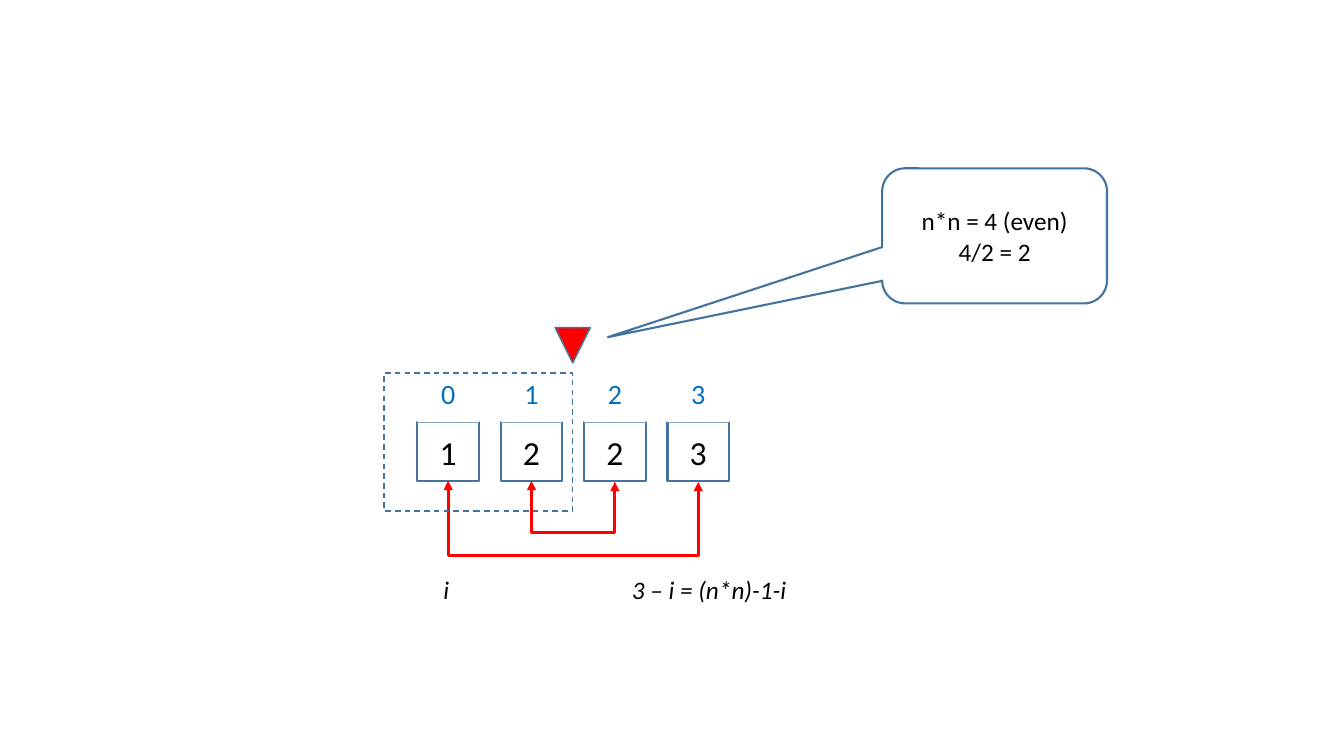
from dataclasses import dataclass

from lxml.etree import SubElement
from pptx import Presentation
from pptx.dml.color import RGBColor
from pptx.enum.dml import MSO_LINE
from pptx.enum.shapes import MSO_CONNECTOR, MSO_SHAPE
from pptx.enum.text import MSO_ANCHOR, PP_ALIGN
from pptx.oxml.ns import qn
from pptx.util import Inches, Pt


@dataclass(frozen=True)
class Theme:
    font: str = "Calibri"
    white: RGBColor = RGBColor(255, 255, 255)
    black: RGBColor = RGBColor(0, 0, 0)
    blue: RGBColor = RGBColor(0x00, 0x70, 0xC0)
    edge: RGBColor = RGBColor(0x43, 0x73, 0x9E)
    red: RGBColor = RGBColor(255, 0, 0)
    value: int = 24
    index: int = 20
    note: int = 18
    thin: float = 1
    line: float = 1.5
    thick: float = 2.25


THEME = Theme()


def add_run(para, text, size, color, italic=None):
    run = para.add_run()
    run.text = text
    font = run.font
    font.name, font.size, font.italic = THEME.font, Pt(size), italic
    font.color.rgb = color


def add_box(slide, kind, box, fill=None, width=None):
    shape = slide.shapes.add_shape(kind, *map(Inches, box))
    shape.shadow.inherit = False
    if fill is None:
        shape.fill.background()
    else:
        shape.fill.solid()
        shape.fill.fore_color.rgb = fill
    if width is None:
        shape.line.fill.background()
    else:
        shape.line.color.rgb = THEME.edge
        shape.line.width = Pt(width)
    return shape


def add_text(shape, lines, size, color):
    frame = shape.text_frame
    frame.word_wrap = True
    frame.vertical_anchor = MSO_ANCHOR.MIDDLE
    for i, line in enumerate(lines):
        para = frame.paragraphs[0] if i == 0 else frame.add_paragraph()
        para.alignment = PP_ALIGN.CENTER
        add_run(para, line, size, color)


def add_link(slide, start, end, top, drop):
    """Double-headed U-shaped link that hangs below two cells."""
    wide, tall = 0.01, end - start
    left = (start + end - wide) / 2
    high = top + (wide - tall) / 2
    link = slide.shapes.add_connector(
        MSO_CONNECTOR.ELBOW, Inches(left), Inches(high),
        Inches(left + wide), Inches(high + tall))
    link.line.color.rgb = THEME.red
    link.line.width = Pt(THEME.thick)
    props = link._element.spPr
    # Turn the elbow so that its middle part lies flat
    frame = props.find(qn("a:xfrm"))
    frame.set("rot", "16200000")
    frame.set("flipH", "1")
    guides = props.find(qn("a:prstGeom")).get_or_add_avLst()
    SubElement(guides, qn("a:gd"), name="adj1",
               fmla=f"val {round(drop / wide * 100000)}")
    # Arrowheads, no shadow
    line = props.find(qn("a:ln"))
    for tag in ("a:headEnd", "a:tailEnd"):
        SubElement(line, qn(tag), type="triangle")
    SubElement(props, qn("a:effectLst"))


def draw_array(slide, box, values):
    left, top, width, height = box
    side = 0.61
    step = (width - side) / (len(values) - 1)
    row = height / 2
    # Values below, indices above
    for i, value in enumerate(values):
        x = left + i * step
        cell = add_box(slide, MSO_SHAPE.RECTANGLE, (x, top + row, side, row),
                       THEME.white, THEME.line)
        add_text(cell, [value], THEME.value, THEME.black)
        label = add_box(slide, MSO_SHAPE.RECTANGLE, (x, top, side, row),
                        THEME.white)
        add_text(label, [str(i)], THEME.index, THEME.blue)
    # Links between mirrored cells
    last = len(values) - 1
    for i, drop in enumerate((0.75, 0.52)):
        mid = left + side / 2
        add_link(slide, mid + i * step, mid + (last - i) * step,
                 top + height, drop)


def draw_half(slide, box):
    left, top, width, height = box
    frame = add_box(slide, MSO_SHAPE.RECTANGLE, box, width=THEME.thin)
    frame.line.dash_style = MSO_LINE.DASH
    # Marker at the split
    size = 0.35
    mark = add_box(slide, MSO_SHAPE.ISOSCELES_TRIANGLE,
                   (left + width - size / 2, top - size - 0.1, size, size),
                   THEME.red, THEME.thin)
    mark._element.spPr.find(qn("a:xfrm")).set("flipV", "1")


def draw_note(slide, box, lines):
    note = add_box(slide, MSO_SHAPE.ROUNDED_RECTANGULAR_CALLOUT, box,
                   THEME.white, THEME.line)
    for i, value in enumerate((-1.72, 0.75, 0.17)):
        note.adjustments[i] = value
    add_text(note, lines, THEME.note, THEME.black)


def draw_rule(slide, box, parts):
    frame = slide.shapes.add_textbox(*map(Inches, box)).text_frame
    frame.word_wrap = True
    para = frame.paragraphs[0]
    tabs = SubElement(para._p.get_or_add_pPr(), qn("a:tabLst"))
    SubElement(tabs, qn("a:tab"), pos=str(Inches(1.87)), algn="l")
    add_run(para, "\t".join(parts), THEME.note, THEME.black, True)


def main():
    deck = Presentation()
    deck.slide_width, deck.slide_height = Inches(13.33), Inches(7.5)
    slide = deck.slides.add_slide(deck.slide_layouts[6])
    draw_array(slide, (4.14, 3.61, 3.09, 1.16), ["1", "2", "2", "3"])
    draw_note(slide, (8.75, 1.67, 2.23, 1.34), ["n*n = 4 (even)", "4/2 = 2"])
    draw_rule(slide, (4.3, 5.65, 3.86, 0.4), ["i", "3 – i = (n*n)-1-i"])
    draw_half(slide, (3.81, 3.7, 1.87, 1.37))
    deck.save("out.pptx")


if __name__ == "__main__":
    main()
